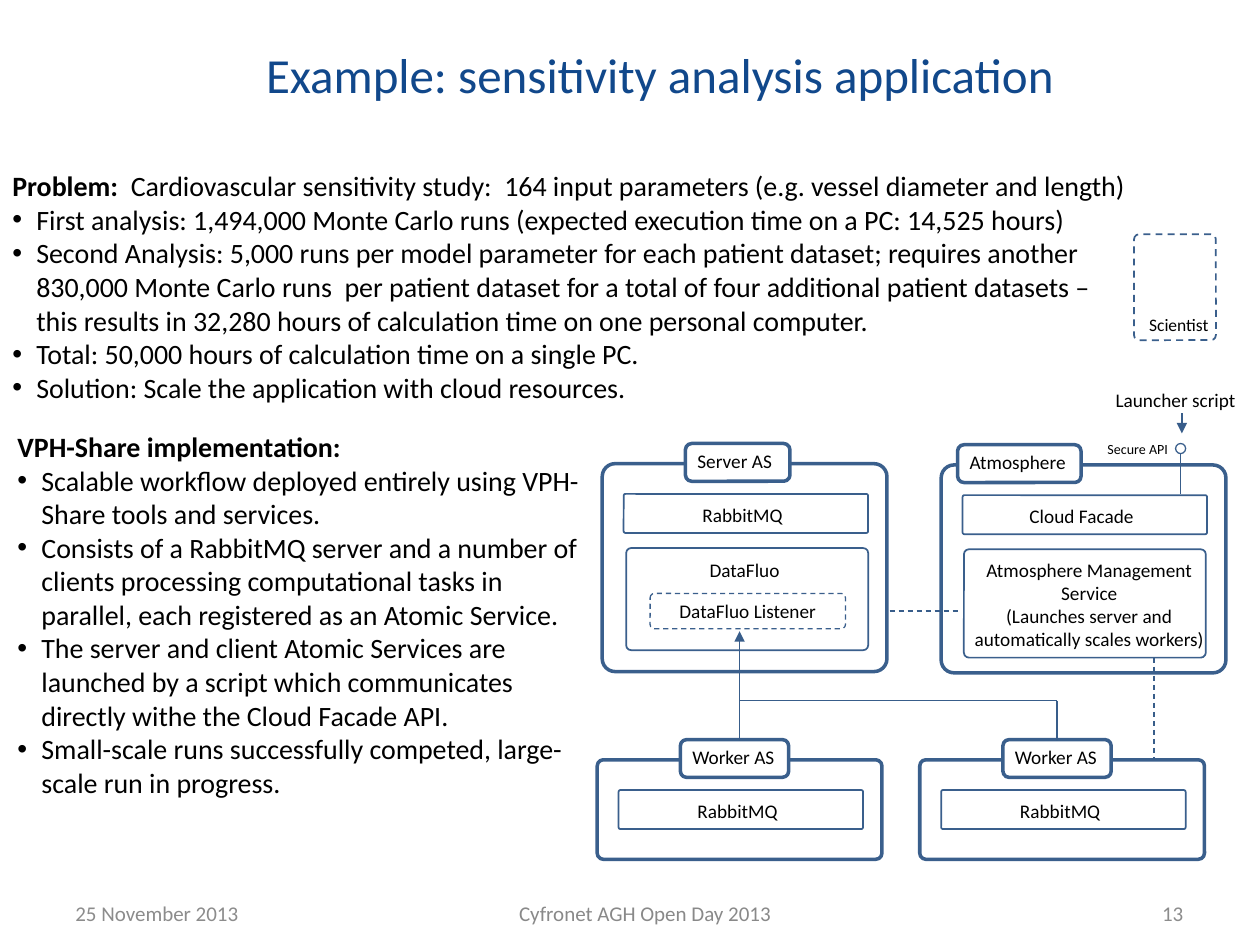
from lxml import etree
from pptx import Presentation
from pptx.dml.color import RGBColor
from pptx.enum.dml import MSO_LINE
from pptx.enum.shapes import MSO_CONNECTOR, MSO_SHAPE
from pptx.enum.text import MSO_ANCHOR, PP_ALIGN
from pptx.oxml.ns import qn
from pptx.util import Pt

PX = 9144  # 100 px to the inch
FONT = "Calibri"
COLORS = {"title": "11488B", "text": "000000", "date": "8C8C8C", "footer": "898989",
          "box": "3A5F8C", "line": "385D8A", "tab": "FFFFFF"}
LEFT, CENTER, RIGHT = PP_ALIGN.LEFT, PP_ALIGN.CENTER, PP_ALIGN.RIGHT
TOP, MIDDLE = MSO_ANCHOR.TOP, MSO_ANCHOR.MIDDLE
ROUND, OVAL, STRAIGHT = MSO_SHAPE.ROUNDED_RECTANGLE, MSO_SHAPE.OVAL, MSO_CONNECTOR.STRAIGHT
DASH = MSO_LINE.DASH
PANEL_ADJ, INNER_ADJ, TAB_ADJ = 0.062, 0.047, 0.167
INSETS = (10, 5, 10, 5)

PROBLEM = [
    "First analysis: 1,494,000 Monte Carlo runs (expected execution time on a PC: 14,525 hours)",
    "Second Analysis: 5,000 runs per model parameter for each patient dataset; requires another "
    "830,000 Monte Carlo runs  per patient dataset for a total of four additional patient datasets – "
    "this results in 32,280 hours of calculation time on one personal computer.",
    "Total: 50,000 hours of calculation time on a single PC.",
    "Solution: Scale the application with cloud resources.",
]
IMPLEMENTATION = [
    "Scalable workflow deployed entirely using VPH-Share tools and services.",
    "Consists of a RabbitMQ server and a number of clients processing computational tasks in "
    "parallel, each registered as an Atomic Service.",
    "The server and client Atomic Services are launched by a script which communicates "
    "directly withe the Cloud Facade API.",
    "Small-scale runs successfully competed, large-scale run in progress.",
]


def emu(*lengths):
    return [round(v * PX) for v in lengths]


def rgb(name):
    return RGBColor.from_string(COLORS[name])


def add_run(p, text, size, color="text", bold=False):
    r = p.add_run()
    r.text = text
    for name, value in {"name": FONT, "size": Pt(size), "bold": bold}.items():
        setattr(r.font, name, value)
    r.font.color.rgb = rgb(color)


def set_frame(tf, insets=INSETS, anchor=TOP):
    left, top, right, bottom = emu(*insets)
    settings = {"margin_left": left, "margin_top": top, "margin_right": right,
                "margin_bottom": bottom, "vertical_anchor": anchor, "word_wrap": True}
    for name, value in settings.items():
        setattr(tf, name, value)


def write_lines(tf, lines, size, color="text", align=CENTER):
    for i, line in enumerate(lines):
        p = tf.add_paragraph() if i else tf.paragraphs[0]
        p.alignment = align
        add_run(p, line, size, color)


def add_label(s, rect, text, size, color="text", align=CENTER, anchor=TOP):
    tf = s.shapes.add_textbox(*emu(*rect)).text_frame
    set_frame(tf, anchor=anchor)
    write_lines(tf, [text], size, color, align)


def add_bullets(s, rect, lead, rest, items):
    """Place a bold lead, the rest of its line, and a bulleted list."""
    tf = s.shapes.add_textbox(*emu(*rect)).text_frame
    set_frame(tf)
    add_run(tf.paragraphs[0], lead, 16, bold=True)
    if rest:
        add_run(tf.paragraphs[0], rest, 16)
    for item in items:
        p = tf.add_paragraph()
        pPr = p._p.get_or_add_pPr()
        indent, = emu(19)
        pPr.set("marL", str(indent))
        pPr.set("indent", str(-indent))
        etree.SubElement(pPr, qn("a:buFont")).set("typeface", "Arial")
        etree.SubElement(pPr, qn("a:buChar")).set("char", "•")
        add_run(p, item, 16)


def add_box(s, rect, adj=None, width=1, dash=None, fill=None, kind=ROUND,
            lines=(), insets=INSETS, align=CENTER):
    sp = s.shapes.add_shape(kind, *emu(*rect))
    sp.shadow.inherit = False
    if adj is not None:
        sp.adjustments[0] = adj
    if fill:
        sp.fill.solid()
        sp.fill.fore_color.rgb = rgb(fill)
    else:
        sp.fill.background()
    sp.line.color.rgb = rgb("box")
    sp.line.width = Pt(width)
    if dash:
        sp.line.dash_style = dash
    if lines:
        set_frame(sp.text_frame, insets)
        write_lines(sp.text_frame, lines, 11, align=align)


def add_line(s, start, end, dash=None, arrow=False):
    c = s.shapes.add_connector(STRAIGHT, *emu(*start, *end))
    c.line.color.rgb = rgb("line")
    c.line.width = Pt(0.75)
    if dash:
        c.line.dash_style = dash
    if arrow:
        etree.SubElement(c.line._get_or_add_ln(), qn("a:tailEnd")).set("type", "triangle")
    etree.SubElement(c._element.spPr, qn("a:effectLst"))


def add_panel(s, rect, title, tab_dx, tab_w, first):
    """Place a frame with a tab on its top edge and its first inner box."""
    x, y, w, h = rect
    add_box(s, rect, PANEL_ADJ, 2)
    add_box(s, (x + 17, y + 24, 194, 31), INNER_ADJ, lines=[first], insets=(10, 7, 15, 0))
    add_box(s, (x + tab_dx, y - 16, tab_w, 30), TAB_ADJ, 2, fill="tab",
            lines=[title], insets=(8, 3, 0, 0), align=LEFT)


def add_server(s, x, y):
    add_panel(s, (x, y, 226, 165), "Server AS", 66, 83, "RabbitMQ")
    add_box(s, (x + 19, y + 67, 192, 81), INNER_ADJ, lines=["DataFluo"], insets=(10, 7, 14, 0))
    add_box(s, (x + 38, y + 103, 155, 28), 0.119, 0.75, DASH,
            lines=["DataFluo Listener"], insets=(5, 4, 5, 0))


def add_atmosphere(s, x, y):
    add_panel(s, (x, y, 226, 165), "Atmosphere", 13, 98, "Cloud Facade")
    add_box(s, (x + 18, y + 67, 192, 86), INNER_ADJ, insets=(7, 6, 0, 0),
            lines=["Atmosphere Management", "Service",
                   "(Launches server and automatically scales workers)"])


def add_worker(s, x, y):
    add_panel(s, (x, y, 226, 79), "Worker AS", 66, 86, "RabbitMQ")


def add_links(s):
    add_line(s, (587, 588), (587, 501), arrow=True)
    add_line(s, (839, 556), (839, 588))
    add_line(s, (587, 556), (839, 556))
    add_line(s, (706, 485), (763, 485), DASH)
    add_line(s, (916, 522), (916, 603), DASH)


def add_launcher(s, x, y):
    """Place the scientist, the launcher script and the API port, top to bottom."""
    add_box(s, (x, y, 65, 84), PANEL_ADJ, dash=DASH)
    add_label(s, (x, y + 58, 71, 27), "Scientist", 10)
    add_label(s, (x - 38, y + 117, 142, 29), "Launcher script", 11)
    add_line(s, (x + 38, y + 142), (x + 38, y + 158), arrow=True)
    add_label(s, (x - 68, y + 159, 142, 24), "Secure API", 8)
    add_box(s, (x + 33, y + 166, 8, 8), width=0.75, kind=OVAL)
    add_line(s, (x + 37, y + 174), (x + 37, y + 206))


def add_footer(s, y, h):
    add_label(s, (50, y, 167, h), "25 November 2013", 12, "date", LEFT, MIDDLE)
    add_label(s, (201, y, 622, h), "Cyfronet AGH Open Day 2013", 12, "footer", CENTER, MIDDLE)
    add_label(s, (884, y, 65, h), "13", 12, "date", RIGHT, MIDDLE)


def main():
    prs = Presentation()
    prs.slide_width, prs.slide_height = emu(1000, 750)
    s = prs.slides.add_slide(prs.slide_layouts[6])
    add_label(s, (146, 2, 764, 113), "Example: sensitivity analysis application ",
              28, "title", anchor=MIDDLE)
    add_bullets(s, (0, 129, 913, 199), "Problem:  ",
                "Cardiovascular sensitivity study:  164 input parameters "
                "(e.g. vessel diameter and length)", PROBLEM)
    add_bullets(s, (4, 336, 471, 306), "VPH-Share implementation:", "", IMPLEMENTATION)
    add_server(s, 478, 368)
    add_atmosphere(s, 747, 369)
    for x in (474, 730):
        add_worker(s, x, 603)
    add_links(s)
    add_launcher(s, 900, 186)
    add_footer(s, 705, 40)
    prs.save("out.pptx")


if __name__ == "__main__":
    main()
